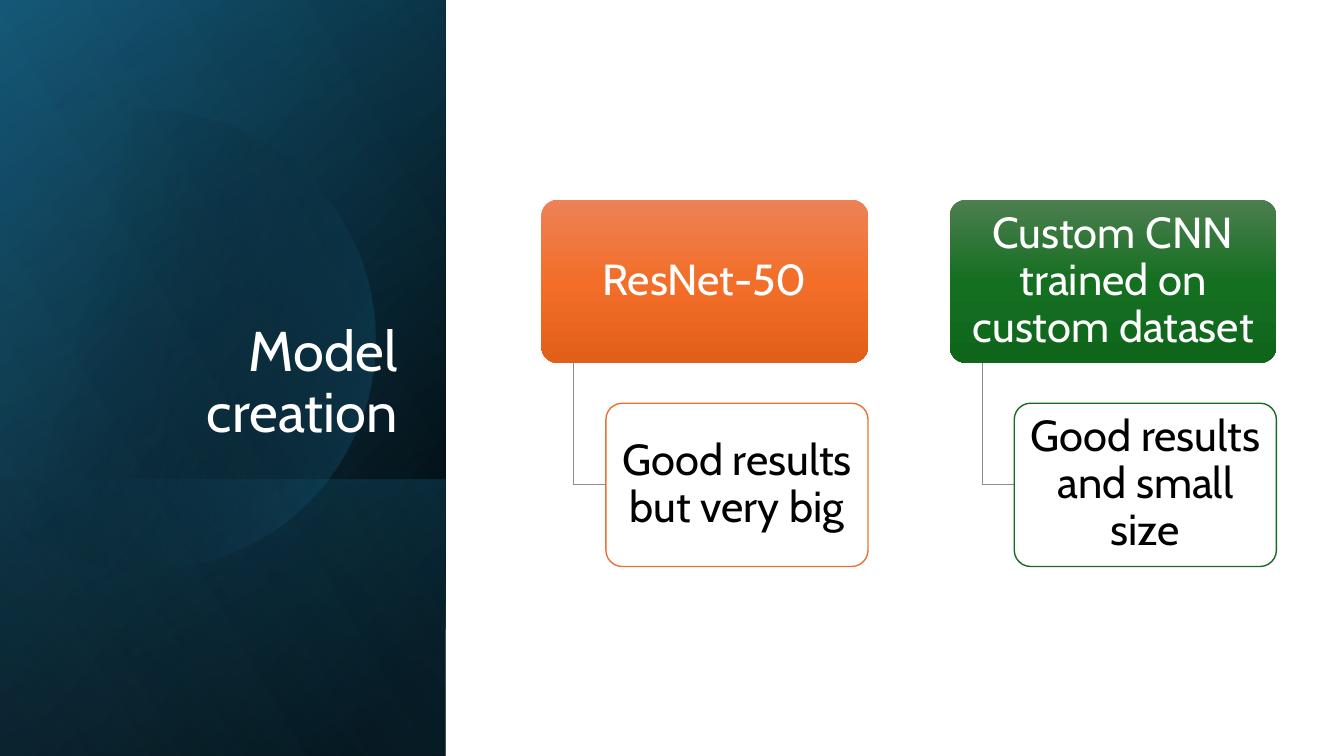
"""Build the "Model creation" slide: a dark title panel and two compared models."""
import math
from dataclasses import dataclass

import pptx
import pptx.dml.color
import pptx.enum.shapes
import pptx.enum.text
import pptx.oxml.ns
import pptx.util
from lxml import etree

RGBColor = pptx.dml.color.RGBColor
BLACK = RGBColor(0x00, 0x00, 0x00)
WHITE = RGBColor(0xFF, 0xFF, 0xFF)
NAVY = RGBColor(0x10, 0x48, 0x62)
TEAL = RGBColor(0x15, 0x60, 0x82)
SKY = RGBColor(0x46, 0xB1, 0xE1)
GRAY = RGBColor(0x8C, 0x8C, 0x8C)
ORANGE = RGBColor(0xE9, 0x71, 0x32)
ORANGE_LIGHT = RGBColor(0xED, 0x82, 0x57)
ORANGE_MIDDLE = RGBColor(0xF2, 0x6E, 0x29)
ORANGE_DARK = RGBColor(0xE2, 0x5F, 0x1A)
GREEN = RGBColor(0x19, 0x6B, 0x24)
GREEN_LIGHT = RGBColor(0x4D, 0x7E, 0x50)
GREEN_MIDDLE = RGBColor(0x15, 0x6F, 0x21)
GREEN_DARK = RGBColor(0x0F, 0x66, 0x1B)

FONT = "Cabin"
EMU_PER_PX = 9144
SLIDE_WIDTH, SLIDE_HEIGHT = 1333, 750
PANEL_WIDTH = 442
BOX_HEIGHT = 162
HEAD_TOP, HEAD_WIDTH = 198, 324
DETAIL_TOP, DETAIL_INDENT = 400, 64
ELBOW_INDENT = 32


@dataclass(frozen=True)
class Stop:
    position: int
    color: RGBColor
    opacity: int = 100


@dataclass(frozen=True)
class Gradient:
    angle: int
    stops: tuple[Stop, ...]


@dataclass(frozen=True)
class Panel:
    top: int
    height: int
    gradient: Gradient


@dataclass(frozen=True)
class Model:
    left: int
    name: str
    verdict: str
    gradient: Gradient
    outline: RGBColor


BASE_PANELS = (
    Panel(0, 750, Gradient(50, (Stop(8, BLACK), Stop(100, NAVY)))),
    Panel(0, 750, Gradient(30, (Stop(0, BLACK, 0), Stop(99, TEAL, 46)))),
    Panel(476, 274, Gradient(130, (Stop(2, TEAL, 29), Stop(100, BLACK, 30)))),
)
DISC_GRADIENT = Gradient(14, (Stop(29, BLACK, 0), Stop(100, TEAL, 43)))
GLOW_PANEL = Panel(0, 750, Gradient(120, (Stop(0, SKY, 0), Stop(99, SKY, 11))))
MODELS = (
    Model(537, "ResNet-50", "Good results but very big",
          Gradient(90, (Stop(0, ORANGE_LIGHT), Stop(50, ORANGE_MIDDLE), Stop(100, ORANGE_DARK))),
          ORANGE),
    Model(942, "Custom CNN trained on custom dataset", "Good results and small size",
          Gradient(90, (Stop(0, GREEN_LIGHT), Stop(50, GREEN_MIDDLE), Stop(100, GREEN_DARK))),
          GREEN),
)


def px(length: float) -> int:
    """Turn px into EMU."""
    return round(length * EMU_PER_PX)


def fill_gradient(shape, gradient: Gradient) -> None:
    """Fill a shape with a linear gradient and take its line away."""
    qn = pptx.oxml.ns.qn
    shape.shadow.inherit = False
    shape.line.fill.background()
    shape.fill.gradient()
    fill = shape.element.spPr.find(qn("a:gradFill"))
    stops = fill.find(qn("a:gsLst"))
    for old_stop in list(stops):
        stops.remove(old_stop)
    for stop in gradient.stops:
        entry = etree.SubElement(stops, qn("a:gs"), pos=str(stop.position * 1000))
        color = etree.SubElement(entry, qn("a:srgbClr"), val=str(stop.color))
        if stop.opacity < 100:
            etree.SubElement(color, qn("a:alpha"), val=str(stop.opacity * 1000))
    fill.find(qn("a:lin")).set("ang", str(gradient.angle * 60000))


def add_panel(slide, panel: Panel) -> None:
    """Add a mirrored rectangle turned by a quarter at the left edge."""
    left = (PANEL_WIDTH - panel.height) / 2
    top = panel.top + (panel.height - PANEL_WIDTH) / 2
    shape = slide.shapes.add_shape(
        pptx.enum.shapes.MSO_SHAPE.RECTANGLE,
        px(left), px(top), px(panel.height), px(PANEL_WIDTH))
    shape.rotation = 90
    shape.element.spPr.xfrm.set("flipH", "1")
    fill_gradient(shape, panel.gradient)


def add_disc(slide) -> None:
    """Add the translucent disc, one arc cut straight on its left side."""
    qn = pptx.oxml.ns.qn
    center_x, center_y, radius, half_sweep = 144, 337, 228, 134
    corners = [(px(center_x + radius * math.cos(math.radians(angle))),
                px(center_y + radius * math.sin(math.radians(angle))))
               for angle in (-half_sweep, -90, 0, 90, half_sweep)]
    builder = slide.shapes.build_freeform(*corners[0])
    builder.add_line_segments(corners[1:], close=True)
    disc = builder.convert_to_shape()
    outline = disc.element.spPr.find(".//" + qn("a:path"))
    for line in outline.findall(qn("a:lnTo")):
        outline.remove(line)
    arc = etree.Element(qn("a:arcTo"), wR=str(px(radius)), hR=str(px(radius)),
                        stAng=str((360 - half_sweep) * 60000),
                        swAng=str(2 * half_sweep * 60000))
    outline.insert(1, arc)
    fill_gradient(disc, DISC_GRADIENT)


def write_text(shape, text: str, size: int, color: RGBColor, alignment, anchor) -> None:
    """Write one formatted paragraph into a shape."""
    frame = shape.text_frame
    frame.word_wrap = True
    frame.auto_size = pptx.enum.text.MSO_AUTO_SIZE.NONE
    frame.vertical_anchor = anchor
    paragraph = frame.paragraphs[0]
    paragraph.alignment = alignment
    paragraph.line_spacing = 0.9
    run = paragraph.add_run()
    run.text = text
    run.font.name = FONT
    run.font.size = pptx.util.Pt(size)
    run.font.color.rgb = color


def add_title(slide) -> None:
    """Place the title in front of the dark panel."""
    title = slide.shapes.title
    slide.shapes.element.append(title.element)
    title.left, title.top, title.width, title.height = map(px, (64, 184, 340, 262))
    write_text(title, "Model creation", 40, WHITE,
               pptx.enum.text.PP_ALIGN.RIGHT, pptx.enum.text.MSO_ANCHOR.BOTTOM)


def add_box(slide, left: int, top: int, width: int, text: str, color: RGBColor):
    """Add a rounded box with centred text."""
    box = slide.shapes.add_shape(
        pptx.enum.shapes.MSO_SHAPE.ROUNDED_RECTANGLE,
        px(left), px(top), px(width), px(BOX_HEIGHT))
    box.adjustments[0] = 0.1
    box.shadow.inherit = False
    frame = box.text_frame
    frame.margin_left = frame.margin_right = px(6)
    frame.margin_top = frame.margin_bottom = px(4)
    write_text(box, text, 31, color,
               pptx.enum.text.PP_ALIGN.CENTER, pptx.enum.text.MSO_ANCHOR.MIDDLE)
    return box


def add_model(slide, model: Model) -> None:
    """Add a model's heading box, its elbow line and its verdict box."""
    head = add_box(slide, model.left, HEAD_TOP, HEAD_WIDTH, model.name, WHITE)
    fill_gradient(head, model.gradient)

    elbow_left = px(model.left + ELBOW_INDENT)
    elbow_bottom = px(DETAIL_TOP + BOX_HEIGHT / 2)
    detail_left = model.left + DETAIL_INDENT
    builder = slide.shapes.build_freeform(elbow_left, px(HEAD_TOP + BOX_HEIGHT))
    builder.add_line_segments(
        [(elbow_left, elbow_bottom), (px(detail_left), elbow_bottom)], close=False)
    elbow = builder.convert_to_shape()
    elbow.shadow.inherit = False
    elbow.fill.background()
    elbow.line.color.rgb = GRAY
    elbow.line.width = pptx.util.Pt(0.5)

    detail = add_box(slide, detail_left, DETAIL_TOP, HEAD_WIDTH - DETAIL_INDENT,
                     model.verdict, BLACK)
    detail.fill.solid()
    detail.fill.fore_color.rgb = WHITE
    detail.line.color.rgb = model.outline
    detail.line.width = pptx.util.Pt(1)


def main() -> None:
    """Build and save the presentation."""
    presentation = pptx.Presentation()
    presentation.slide_width, presentation.slide_height = px(SLIDE_WIDTH), px(SLIDE_HEIGHT)
    slide = presentation.slides.add_slide(presentation.slide_layouts.get_by_name("Title Only"))
    for panel in BASE_PANELS:
        add_panel(slide, panel)
    add_disc(slide)
    add_panel(slide, GLOW_PANEL)
    add_title(slide)
    for model in MODELS:
        add_model(slide, model)
    presentation.save("out.pptx")


if __name__ == "__main__":
    main()
